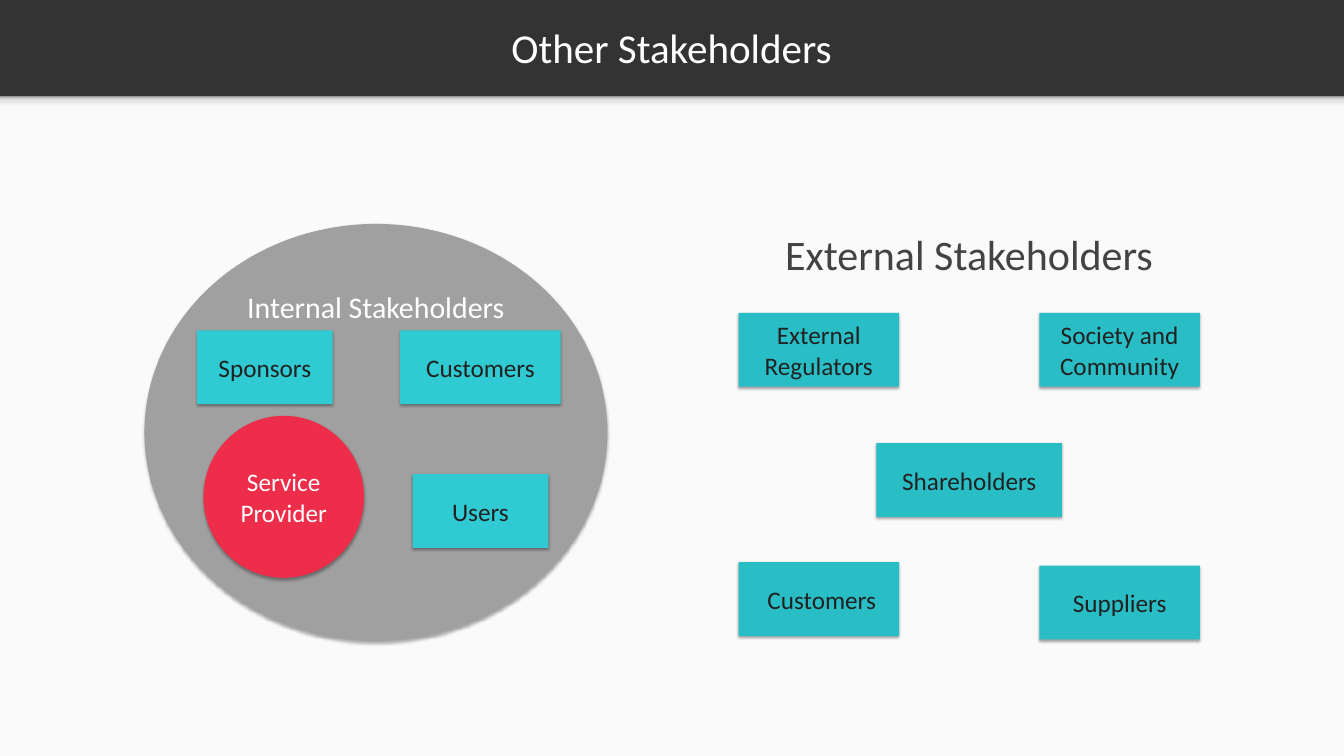
from dataclasses import dataclass

from lxml import etree
from pptx import Presentation
from pptx import util as u
from pptx.dml.color import RGBColor
from pptx.enum import shapes, text
from pptx.oxml import parse_xml

NAMESPACE = "http://schemas.openxmlformats.org/drawingml/2006/main"
RECTANGLE = shapes.MSO_SHAPE.RECTANGLE
OVAL = shapes.MSO_SHAPE.OVAL


@dataclass(frozen=True)
class Theme:
    font: str = "Calibri"
    header: str = "333333"
    body: str = "FAFAFA"
    white: str = "FFFFFF"
    ink: str = "212121"
    heading: str = "434343"
    group: str = "A0A0A0"
    provider: str = "EE2D4A"
    internal: str = "2FCAD2"
    external: str = "29BEC6"
    title_size: int = 44
    heading_size: int = 45
    group_size: int = 32
    label_size: int = 27


@dataclass(frozen=True)
class Shadow:
    opacity: int
    blur: float
    distance: float


@dataclass(frozen=True)
class Stakeholder:
    """A labelled box; lengths in centimetres, x is its horizontal centre."""
    label: str
    x: float
    top: float
    fill: str
    width: float = 6.07
    height: float = 2.79


THEME = Theme()
BOX_SHADOW = Shadow(35, 3.1, 1.8)
OVAL_SHADOW = Shadow(32, 3.5, 2.2)

SLIDE_WIDTH, SLIDE_HEIGHT = 50.8, 28.56
BODY_TOP = 3.66
INTERNAL_LEFT, INTERNAL_RIGHT = 10.01, 18.16
EXTERNAL_LEFT, EXTERNAL_RIGHT = 30.95, 42.32
EXTERNAL_MIDDLE = (EXTERNAL_LEFT + EXTERNAL_RIGHT) / 2
INTERNAL_TOP, EXTERNAL_TOP = 12.48, 11.82

STAKEHOLDERS = [
    Stakeholder("Sponsors", INTERNAL_LEFT, INTERNAL_TOP, THEME.internal, width=5.13),
    Stakeholder("Customers", INTERNAL_RIGHT, INTERNAL_TOP, THEME.internal),
    Stakeholder("Users", INTERNAL_RIGHT, 17.91, THEME.internal, width=5.13),
    Stakeholder("Shareholders", EXTERNAL_MIDDLE, 16.74, THEME.external, width=7.01),
    Stakeholder("Suppliers", EXTERNAL_RIGHT, 21.37, THEME.external),
    Stakeholder("Society and Community", EXTERNAL_RIGHT, EXTERNAL_TOP, THEME.external),
    Stakeholder("External Regulators", EXTERNAL_LEFT, EXTERNAL_TOP, THEME.external),
    Stakeholder(" Customers", EXTERNAL_LEFT, 21.24, THEME.external),
]


def write_text(shape, words: str, *, size: int, color: str,
               anchor=text.MSO_ANCHOR.MIDDLE, wrap: bool = True) -> None:
    frame = shape.text_frame
    frame.word_wrap = wrap
    frame.auto_size = text.MSO_AUTO_SIZE.NONE
    frame.vertical_anchor = anchor
    paragraph = frame.paragraphs[0]
    paragraph.alignment = text.PP_ALIGN.CENTER
    run = paragraph.add_run()
    run.text = words
    run.font.name = THEME.font
    run.font.size = u.Pt(size)
    run.font.color.rgb = RGBColor.from_string(color)


def add_shadow(shape, shadow: Shadow) -> None:
    """Put a soft black shadow straight below the shape."""
    effects = shape._element.spPr.find(f"{{{NAMESPACE}}}effectLst")
    outer = etree.SubElement(
        effects, f"{{{NAMESPACE}}}outerShdw", blurRad=str(u.Pt(shadow.blur)),
        dist=str(u.Pt(shadow.distance)), dir="5400000", algn="t", rotWithShape="0")
    color = etree.SubElement(outer, f"{{{NAMESPACE}}}srgbClr", val="000000")
    etree.SubElement(color, f"{{{NAMESPACE}}}alpha", val=str(shadow.opacity * 1000))


def add_shape(slide, kind, left: float, top: float, width: float, height: float,
              fill: str, shadow: Shadow | None = None):
    shape = slide.shapes.add_shape(kind, u.Cm(left), u.Cm(top), u.Cm(width), u.Cm(height))
    shape.fill.solid()
    shape.fill.fore_color.rgb = RGBColor.from_string(fill)
    shape.line.fill.background()
    shape.shadow.inherit = False
    if shadow:
        add_shadow(shape, shadow)
    return shape


def fill_upward_gradient(shape, stops: list[tuple[int, str]]) -> None:
    entries = "".join(
        f'<a:gs pos="{position * 1000}"><a:srgbClr val="{color}"/></a:gs>'
        for position, color in stops)
    gradient = parse_xml(
        f'<a:gradFill xmlns:a="{NAMESPACE}"><a:gsLst>{entries}</a:gsLst>'
        '<a:lin ang="16200000" scaled="0"/></a:gradFill>')
    properties = shape._element.spPr
    solid = properties.find(f"{{{NAMESPACE}}}solidFill")
    properties.replace(solid, gradient)


def add_frame(slide) -> None:
    """Draw the dark header, the light body and the soft edge between them."""
    slide.background.fill.solid()
    slide.background.fill.fore_color.rgb = RGBColor.from_string(THEME.header)
    add_shape(slide, RECTANGLE, 0, BODY_TOP, SLIDE_WIDTH, SLIDE_HEIGHT - BODY_TOP, THEME.body)
    edge = add_shape(slide, RECTANGLE, 0, 3.63, SLIDE_WIDTH, 0.61, THEME.body)
    fill_upward_gradient(edge, [(0, "F9F9F9"), (36, "F9F9F9"), (80, "DEDEDE"), (100, "999999")])


def add_title(slide, words: str) -> None:
    title = slide.shapes.title
    title.left, title.top = u.Cm(0.58), u.Cm(0.1)
    title.width, title.height = u.Cm(49.63), u.Cm(3.35)
    write_text(title, words, size=THEME.title_size, color=THEME.white)


def add_stakeholder(slide, box: Stakeholder) -> None:
    shape = add_shape(slide, RECTANGLE, box.x - box.width / 2, box.top,
                      box.width, box.height, box.fill, BOX_SHADOW)
    write_text(shape, box.label, size=THEME.label_size, color=THEME.ink)


def main() -> None:
    presentation = Presentation()
    presentation.slide_width = u.Cm(SLIDE_WIDTH)
    presentation.slide_height = u.Cm(SLIDE_HEIGHT)
    slide = presentation.slides.add_slide(presentation.slide_layouts[5])

    add_frame(slide)
    add_title(slide, "Other Stakeholders")

    group = add_shape(slide, OVAL, 5.46, 8.46, 17.5, 15.75, THEME.group, OVAL_SHADOW)
    write_text(group, "Internal Stakeholders", size=THEME.group_size,
               color=THEME.white, anchor=text.MSO_ANCHOR.TOP)

    heading = slide.shapes.add_textbox(
        u.Cm(EXTERNAL_MIDDLE - 7.28), u.Cm(8.49), u.Cm(14.55), u.Cm(2.18))
    write_text(heading, "External Stakeholders", size=THEME.heading_size,
               color=THEME.heading, anchor=text.MSO_ANCHOR.TOP, wrap=False)

    for box in STAKEHOLDERS:
        add_stakeholder(slide, box)

    provider = add_shape(slide, OVAL, 7.69, 15.71, 6.07, 6.12, THEME.provider, OVAL_SHADOW)
    write_text(provider, "Service Provider", size=THEME.label_size, color=THEME.white)

    presentation.save("out.pptx")


if __name__ == "__main__":
    main()
